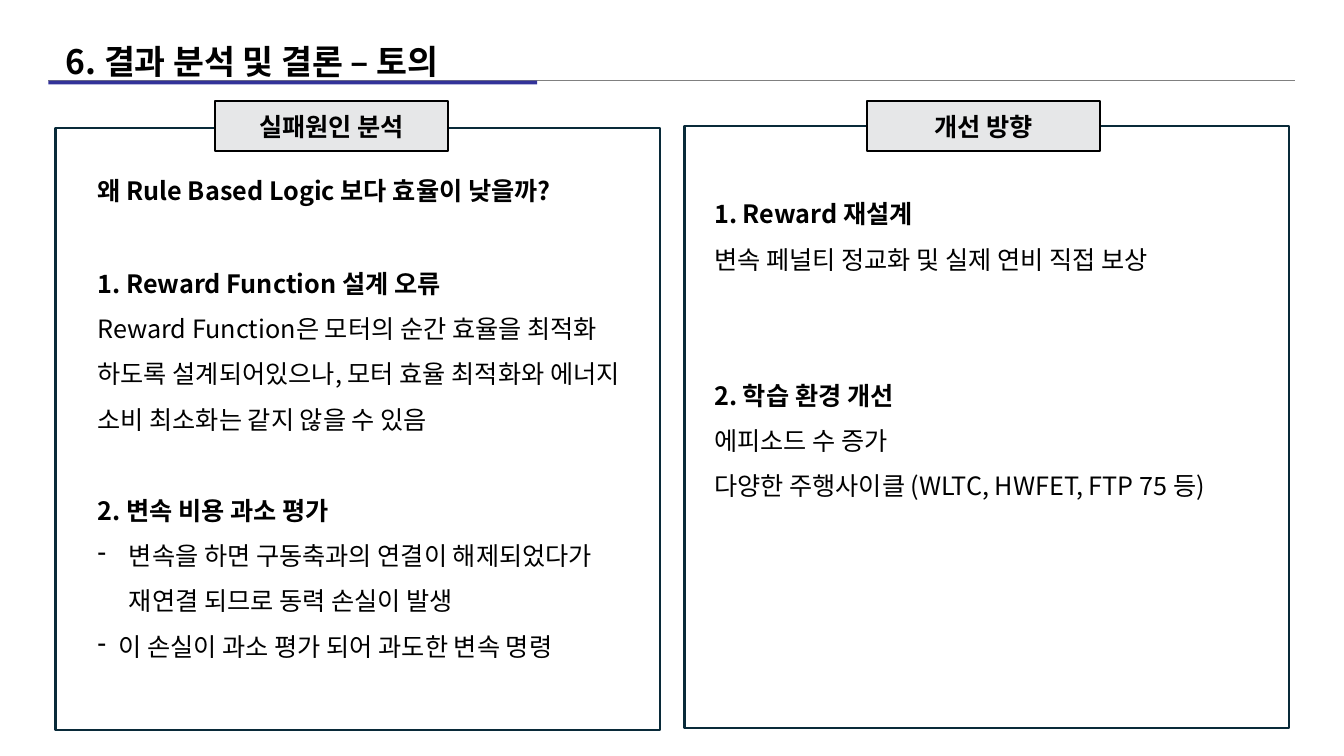
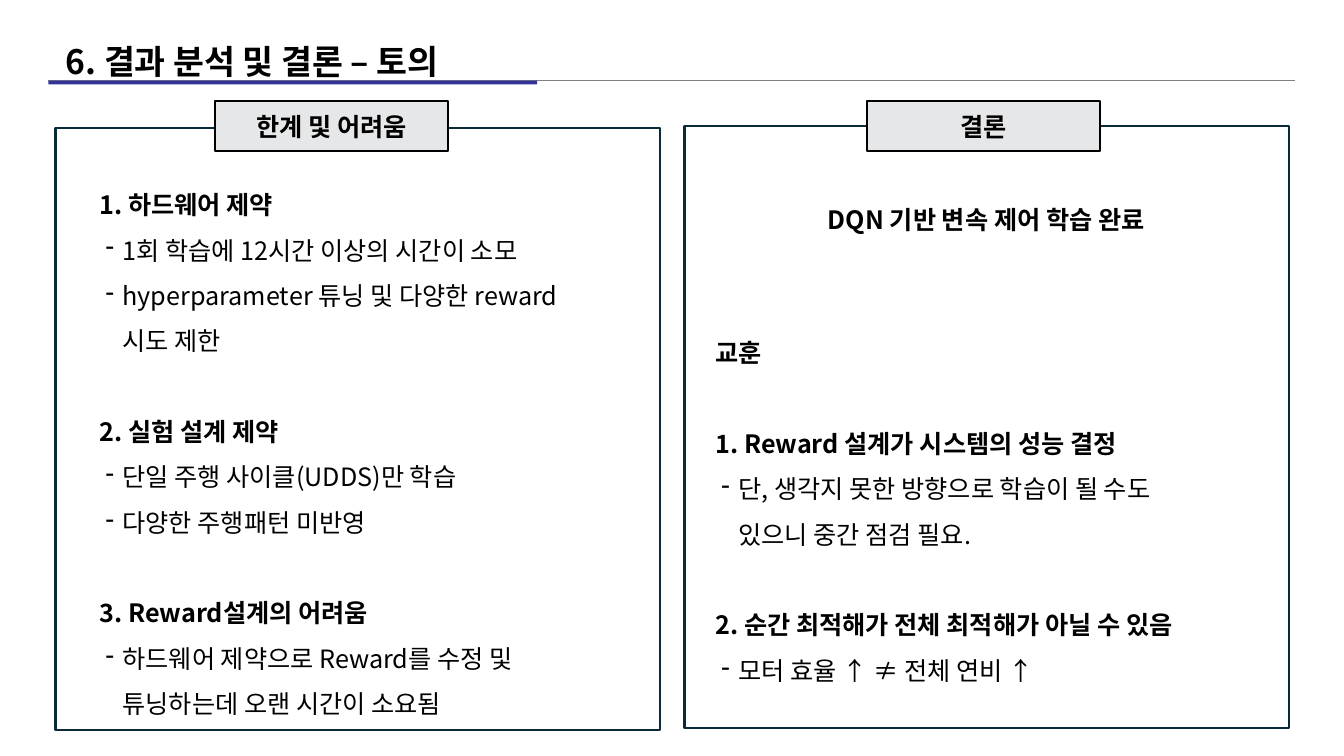
from pptx import Presentation
from pptx.dml.color import RGBColor
from pptx.enum.shapes import MSO_CONNECTOR, MSO_SHAPE
from pptx.enum.text import MSO_ANCHOR, MSO_AUTO_SIZE, PP_ALIGN
from pptx.oxml.ns import qn
from pptx.util import Cm, Pt
from lxml.etree import SubElement

FONT = "Noto Sans CJK KR"
BLACK = RGBColor(0x00, 0x00, 0x00)
RULE_GREY = RGBColor(0x80, 0x80, 0x80)
ACCENT_BLUE = RGBColor(0x33, 0x33, 0x99)
PANEL_NAVY = RGBColor(0x09, 0x2A, 0x39)
LABEL_GREY = RGBColor(0xE6, 0xE7, 0xE8)

# Content: each block is (left, top, width, height) in cm and its lines;
# each line is (style, text, blank lines above)
TITLE = "6. 결과 분석 및 결론 – 토의"
PAGES = [
    {
        "labels": ("실패원인 분석", "개선 방향"),
        "blocks": [
            ((2.21, 3.91, 13.59, 1.27), [
                ("heading", "왜 Rule Based Logic 보다 효율이 낮을까?", 0),
            ]),
            ((2.21, 6.25, 13.87, 10.49), [
                ("heading", "1. Reward Function 설계 오류", 0),
                ("plain", "Reward Function은 모터의 순간 효율을 최적화 하도록 설계되어있으나, "
                          "모터 효율 최적화와 에너지 소비 최소화는 같지 않을 수 있음", 0),
                ("heading", "2. 변속 비용 과소 평가", 1),
                ("wide dash", "변속을 하면 구동축과의 연결이 해제되었다가 재연결 되므로 동력 손실이 발생", 0),
                ("tight dash", "이 손실이 과소 평가 되어 과도한 변속 명령", 0),
            ]),
            ((17.75, 4.5, 13.59, 8.18), [
                ("heading", "1. Reward 재설계", 0),
                ("plain", "변속 페널티 정교화 및 실제 연비 직접 보상", 0),
                ("heading", "2. 학습 환경 개선", 2),
                ("plain", "에피소드 수 증가", 0),
                ("plain", "다양한 주행사이클 (WLTC, HWFET, FTP 75 등)", 0),
            ]),
        ],
    },
    {
        "labels": ("한계 및 어려움", "결론"),
        "blocks": [
            ((2.26, 4.27, 13.59, 13.97), [
                ("heading", "1. 하드웨어 제약", 0),
                ("inset dash", "1회 학습에 12시간 이상의 시간이 소모", 0),
                ("inset dash", "hyperparameter 튜닝 및 다양한 reward\v시도 제한", 0),
                ("heading", "2. 실험 설계 제약", 1),
                ("inset dash", "단일 주행 사이클(UDDS)만 학습", 0),
                ("inset dash", "다양한 주행패턴 미반영", 0),
                ("heading", "3. Reward설계의 어려움", 1),
                ("inset dash", "하드웨어 제약으로 Reward를 수정 및\v튜닝하는데 오랜 시간이 소요됨", 0),
            ]),
            ((18.06, 4.65, 13.59, 1.27), [
                ("centred heading", "DQN 기반 변속 제어 학습 완료", 0),
            ]),
            ((17.78, 8, 13.59, 9.35), [
                ("heading", "교훈", 0),
                ("heading", "1. Reward 설계가 시스템의 성능 결정", 1),
                ("inset dash", "단, 생각지 못한 방향으로 학습이 될 수도\v있으니 중간 점검 필요.", 0),
                ("heading", "2. 순간 최적해가 전체 최적해가 아닐 수 있음", 1),
                ("inset dash", "모터 효율 ↑ ≠ 전체 연비 ↑", 0),
            ]),
        ],
    },
]

# Geometry in cm
PANELS = [(1.4, 3.23, 15.24, 15.16), (17.25, 3.18, 15.24, 15.16)]
LABELS = [(5.41, 2.54, 5.89, 1.27), (21.84, 2.54, 5.89, 1.27)]
DASHES = {"wide dash": (0.79, 0.79), "tight dash": (0.53, 0.53),
          "inset dash": (0.58, 0.43)}  # text margin, hang
BODY_SIZE = 18
BLANK_LINE = Pt(BODY_SIZE * 1.2 * 1.5)


def cms(*lengths):
    return [Cm(length) for length in lengths]


def set_font(paragraph, size, bold):
    font = paragraph.font
    font.name, font.size, font.bold = FONT, Pt(size), bold
    font.color.rgb = BLACK
    SubElement(font._element, qn("a:ea"), typeface=FONT)


def add_box(shapes, place, fill=None, line=None):
    box = shapes.add_shape(MSO_SHAPE.RECTANGLE, *cms(*place))
    box.shadow.inherit = False
    if fill is None:
        box.fill.background()
    else:
        box.fill.solid()
        box.fill.fore_color.rgb = fill
    if line is None:
        box.line.fill.background()
    else:
        box.line.color.rgb = line
        box.line.width = Pt(1.5)
    return box


def add_label(shapes, place, text):
    label = add_box(shapes, place, LABEL_GREY, BLACK)
    label.text_frame.vertical_anchor = MSO_ANCHOR.MIDDLE
    paragraph = label.text_frame.paragraphs[0]
    paragraph.text = text
    paragraph.alignment = PP_ALIGN.CENTER
    set_font(paragraph, BODY_SIZE, True)


def add_dash(paragraph, margin, hang):
    properties = paragraph._p.get_or_add_pPr()
    properties.set("marL", str(Cm(margin)))
    properties.set("indent", str(-Cm(hang)))
    SubElement(properties, qn("a:buChar"), char="-")


def add_block(shapes, place, lines):
    frame = shapes.add_textbox(*cms(*place)).text_frame
    frame.word_wrap = True
    for index, (style, text, blanks) in enumerate(lines):
        paragraph = frame.add_paragraph() if index else frame.paragraphs[0]
        paragraph.text = text
        paragraph.line_spacing = 1.5
        if blanks:
            paragraph.space_before = blanks * BLANK_LINE
        if style.startswith("centred"):
            paragraph.alignment = PP_ALIGN.CENTER
        if style in DASHES:
            add_dash(paragraph, *DASHES[style])
        set_font(paragraph, BODY_SIZE, style.endswith("heading"))


def add_header(slide, layout):
    """Draw the title rule and its accent band, and move them to the layout."""
    rule = slide.shapes.add_connector(MSO_CONNECTOR.STRAIGHT, *cms(1.22, 2.03, 32.64, 2.03))
    rule.line.color.rgb = RULE_GREY
    rule.line.width = Pt(1)
    SubElement(rule._element.spPr, qn("a:effectLst"))
    band = add_box(slide.shapes, (1.22, 2.03, 12.32, 0.1), ACCENT_BLUE)
    for part in (rule, band):
        layout.shapes._spTree.append(part._element)


def format_title(title):
    title.left, title.top, title.width, title.height = cms(1.4, 0.66, 30.48, 1.27)
    frame = title.text_frame
    frame.auto_size = MSO_AUTO_SIZE.NONE
    frame.vertical_anchor = MSO_ANCHOR.MIDDLE
    paragraph = frame.paragraphs[0]
    paragraph.text = TITLE
    paragraph.alignment = PP_ALIGN.LEFT
    paragraph.line_spacing = 1.5
    set_font(paragraph, 24, True)


def main():
    deck = Presentation()
    deck.slide_width, deck.slide_height = cms(33.87, 19.05)
    layout = deck.slide_layouts.get_by_name("Title Only")
    for number, page in enumerate(PAGES):
        slide = deck.slides.add_slide(layout)
        if number == 0:
            add_header(slide, layout)
        format_title(slide.shapes.title)
        for panel, place, text in zip(PANELS, LABELS, page["labels"]):
            add_box(slide.shapes, panel, line=PANEL_NAVY)
            add_label(slide.shapes, place, text)
        for place, lines in page["blocks"]:
            add_block(slide.shapes, place, lines)
    deck.save("out.pptx")


if __name__ == "__main__":
    main()
